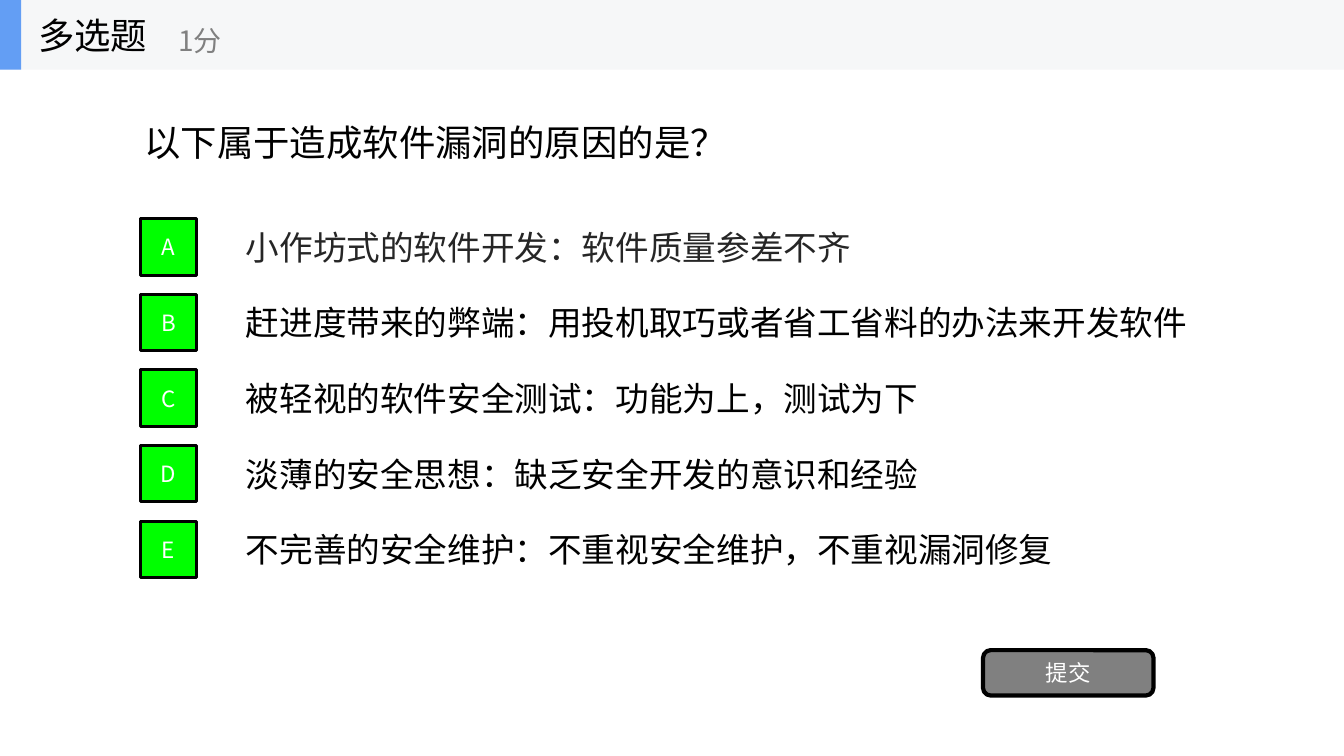
from lxml import etree
from pptx import Presentation
from pptx import util as u
from pptx.dml import color
from pptx.enum import shapes, text
from pptx.oxml import ns

FACE = "Noto Sans CJK SC"
CHOICES = [
    "小作坊式的软件开发：软件质量参差不齐",
    "赶进度带来的弊端：用投机取巧或者省工省料的办法来开发软件",
    "被轻视的软件安全测试：功能为上，测试为下",
    "淡薄的安全思想：缺乏安全开发的意识和经验",
    "不完善的安全维护：不重视安全维护，不重视漏洞修复",
]


def rgb(code):
    """Turn a hex string into a colour."""
    return color.RGBColor.from_string(code)


def place(shape, left, top, width, height):
    """Set position and size in inches."""
    shape.left, shape.top = u.Inches(left), u.Inches(top)
    shape.width, shape.height = u.Inches(width), u.Inches(height)


def write(shape, words, size=24, ink="000000", center=False):
    """Fill a shape with one formatted line of text."""
    frame = shape.text_frame
    frame.word_wrap = True
    frame.auto_size = text.MSO_AUTO_SIZE.NONE
    frame.vertical_anchor = text.MSO_ANCHOR.MIDDLE
    para = frame.paragraphs[0]
    para.alignment = text.PP_ALIGN.CENTER if center else text.PP_ALIGN.LEFT
    run = para.add_run()
    run.text = words
    run.font.size = u.Pt(size)
    run.font.color.rgb = rgb(ink)
    run.font.name = FACE
    east = etree.SubElement(run.font._element, ns.qn("a:ea"))
    east.set("typeface", FACE)


def label(slide, words, box, **form):
    """Add a text box."""
    write(slide.shapes.add_textbox(*map(u.Inches, box)), words, **form)


def block(slide, box, fill, edge=0, kind=shapes.MSO_SHAPE.RECTANGLE):
    """Add a filled shape, with a black outline if edge is set."""
    shape = slide.shapes.add_shape(kind, *map(u.Inches, box))
    shape.shadow.inherit = False
    shape.fill.solid()
    shape.fill.fore_color.rgb = rgb(fill)
    if edge:
        shape.line.color.rgb = rgb("000000")
        shape.line.width = u.Pt(edge)
    else:
        shape.line.fill.background()
    return shape


def choice(slide, row, words):
    """Add one lettered answer."""
    top = 2.1 + 0.75 * row
    ink = "000000" if row else "262626"
    label(slide, words, (2.34, top, 9.59, 0.7), ink=ink)
    key = block(slide, (1.39, top + 0.07, 0.56, 0.56), "00FF00", edge=2)
    write(key, "ABCDE"[row], size=16, ink="FFFFFF", center=True)


def header(slide):
    """Add the top band with question type and score."""
    block(slide, (0, 0, 13.33, 0.69), "F6F7F8")
    block(slide, (0, 0, 0.21, 0.69), "639EF4")
    label(slide, "多选题", (0.28, 0, 2.08, 0.69), size=26)
    label(slide, "1分", (1.67, 0.12, 2.5, 0.56), size=20, ink="808080")


def main():
    """Build and save the quiz slide."""
    deck = Presentation()
    deck.slide_width, deck.slide_height = u.Inches(13.33), u.Inches(7.5)
    slide = deck.slides.add_slide(deck.slide_layouts[5])
    title = slide.shapes.title
    place(title, 1.33, 0.69, 10.67, 1.44)
    write(title, "以下属于造成软件漏洞的原因的是？", size=26)
    for row, words in enumerate(CHOICES):
        choice(slide, row, words)
    send = block(slide, (9.75, 6.45, 1.69, 0.45), "808080", edge=3,
                 kind=shapes.MSO_SHAPE.ROUNDED_RECTANGLE)
    write(send, "提交", size=16, ink="FFFFFF", center=True)
    header(slide)
    deck.save("out.pptx")


if __name__ == "__main__":
    main()
